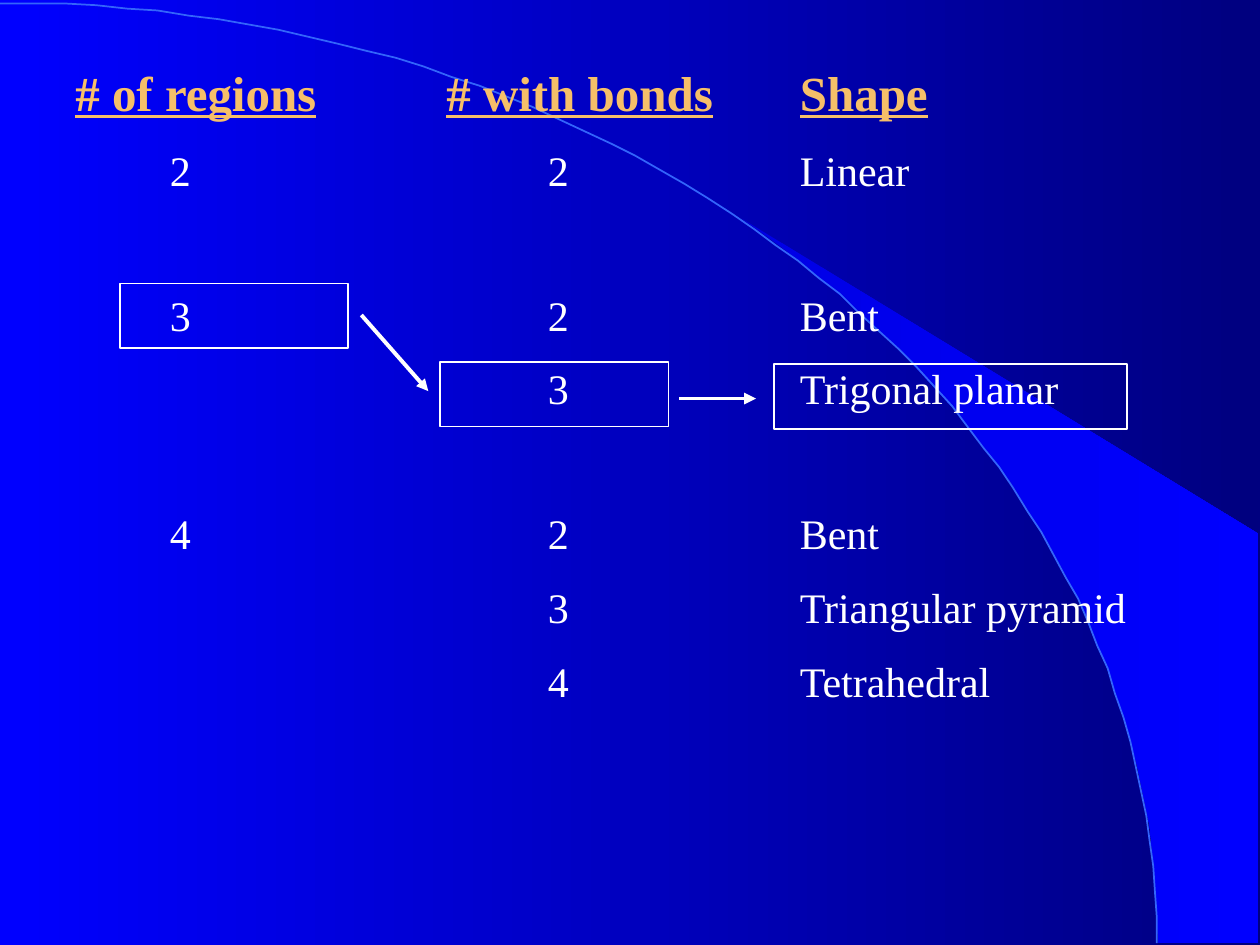
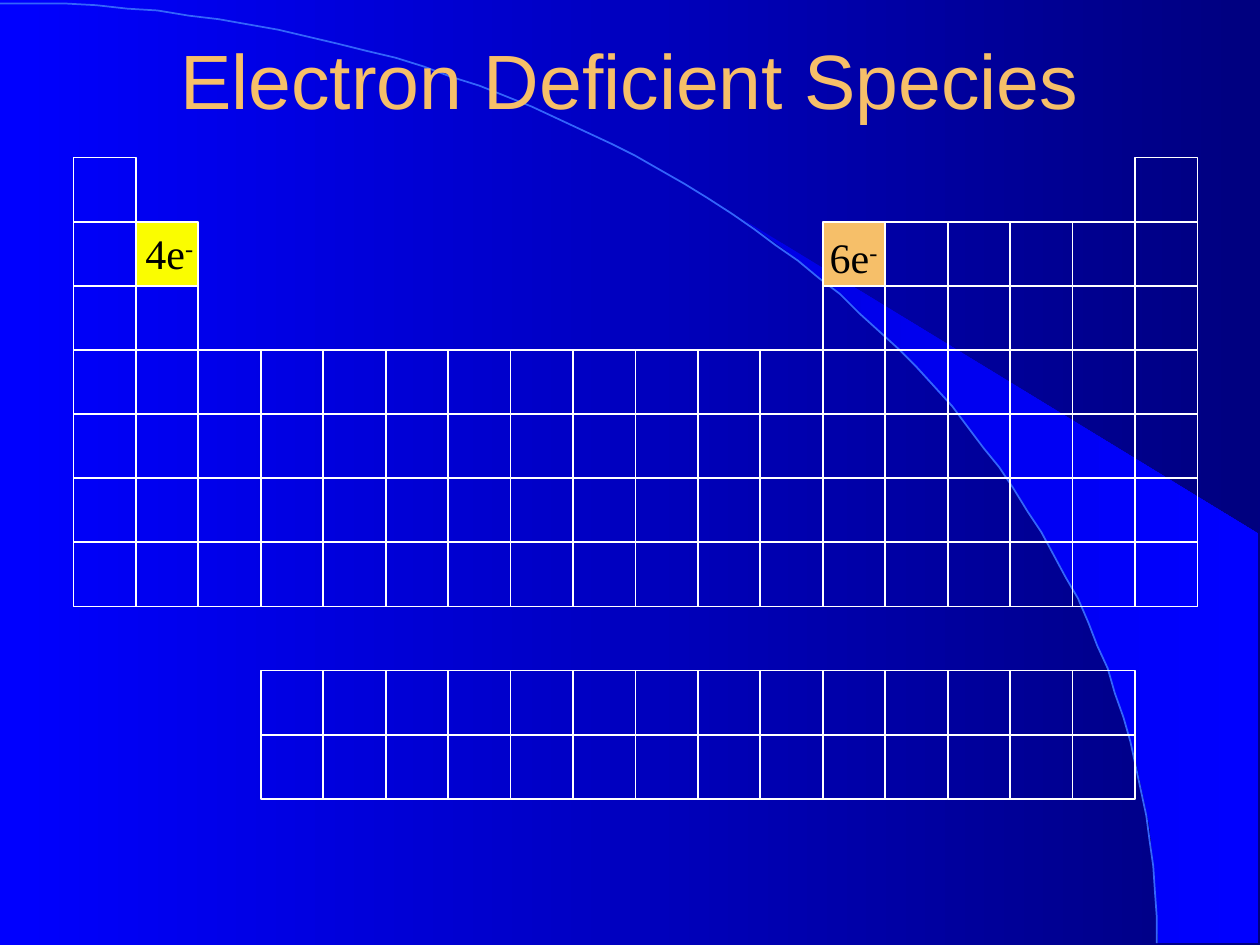
"""Build two slides on molecular shapes and electron deficient species."""
from dataclasses import dataclass
from typing import Any, Optional

import pptx
import pptx.dml.color
import pptx.enum.shapes
import pptx.enum.text
import pptx.oxml.ns
import pptx.util
from lxml import etree

Pt = pptx.util.Pt
RGB = pptx.dml.color.RGBColor.from_string
ALIGN = pptx.enum.text.PP_ALIGN
ANCHOR = pptx.enum.text.MSO_ANCHOR


@dataclass(frozen=True)
class Theme:
    """Colours, fonts and sizes shared by the slides."""
    white: str = "FFFFFF"
    black: str = "000000"
    gold: str = "F6BF69"
    yellow: str = "FAFD00"
    arc: str = "3365FB"
    background: tuple = ("0000FF", "00007F")
    wedge: tuple = ("0000E5", "0000FF")
    serif: str = "Times New Roman"
    sans: str = "Arial"
    title_size: float = 44
    header_size: float = 28
    body_size: float = 24
    thin: float = 1
    thick: float = 2.25


THEME = Theme()
BODY = {"name": THEME.serif, "size": Pt(THEME.body_size), "color": THEME.white}
HEADER = {"name": THEME.serif, "size": Pt(THEME.header_size), "bold": True, "color": THEME.gold}
TITLE = {"name": THEME.sans, "size": Pt(THEME.title_size), "color": THEME.gold}
LABEL = {**BODY, "color": THEME.black}


@dataclass(frozen=True)
class Box:
    """A rectangle in points."""
    left: float
    top: float
    width: float
    height: float

    def lengths(self) -> tuple:
        """Return the four lengths for python-pptx."""
        return Pt(self.left), Pt(self.top), Pt(self.width), Pt(self.height)


@dataclass(frozen=True)
class Arrow:
    """A straight arrow between two points."""
    start: tuple
    end: tuple


@dataclass(frozen=True)
class ShapeRow:
    """One table line: regions, bonded regions and the resulting shape."""
    regions: str
    bonds: str
    shape: str


@dataclass(frozen=True)
class ElectronLabel:
    """A valence electron count over one element cell."""
    text: str
    box: Box


ROWS = (
    ShapeRow("2", "2", "Linear"),
    ShapeRow("3", "2", "Bent"),
    ShapeRow("", "3", "Trigonal planar"),
    ShapeRow("4", "2", "Bent"),
    ShapeRow("", "3", "Triangular pyramid"),
    ShapeRow("", "4", "Tetrahedral"),
)
HEADER_STOPS = (18, 216, 230, 432)
ROW_STOPS = (72, 288, 432)
ROW_GAP, GROUP_GAP = 13.25, 54.1
HIGHLIGHTS = (
    Box(68.5, 162, 130.5, 37), Box(251.5, 206.75, 130.5, 37), Box(442.25, 208, 201.75, 37))
ARROWS = (Arrow((206.5, 180), (244.75, 223.5)), Arrow((388.25, 227.75), (432, 227.75)))

WEDGE = (
    (662.4, 538.6), (719.3, 539.3), (719.3, 304.6), (424, 124.6), (449.3, 143.3),
    (470.2, 159.8), (493.2, 180), (515.5, 201.6), (548.6, 237.6), (578.2, 276.5),
    (599, 310.3), (617.8, 344.9), (632.2, 380.2), (643, 411.8), (650.2, 438.5),
    (657.4, 472.3), (660.2, 501.1))
ARC_CONTROLS = ((0.5, 1.5), (365.8, 1.5), (661, 241.2), (661, 539.3))
ARC_STEPS = 60

GRID = Box(42, 90, 35.68, 36.65)
SIDES = (0, 1, *range(12, 18))
FULL = tuple(range(18))
INNER = tuple(range(3, 17))
PERIODS = {0: (0, 17), 1: SIDES, 2: SIDES, 3: FULL, 4: FULL, 5: FULL, 6: FULL, 8: INNER, 9: INNER}
CELL_FILLS = {(1, 1): THEME.yellow, (1, 12): THEME.gold}
ELECTRON_LABELS = (
    ElectronLabel("4e", Box(70.5, 126.75, 52.5, 36)),
    ElectronLabel("6e", Box(461.5, 129, 52.5, 36)))


def paint_gradient(fill: Any, colors: tuple) -> None:
    """Fill from left to right with two colours."""
    fill.gradient()
    fill.gradient_angle = 0
    for stop, color in zip(fill.gradient_stops, colors):
        stop.color.rgb = RGB(color)


def paint_line(shape: Any, color: str, width: float) -> None:
    """Give a shape or connector a solid line."""
    shape.line.color.rgb = RGB(color)
    shape.line.width = Pt(width)


def add_outline(slide: Any, points: list, close: bool) -> Any:
    """Draw a freeform through the points."""
    builder = slide.shapes.build_freeform(*points[0], scale=Pt(1))
    builder.add_line_segments(points[1:], close=close)
    shape = builder.convert_to_shape()
    shape.shadow.inherit = False
    return shape


def arc_point(t: float) -> tuple:
    """Return the point of the cubic arc at parameter t."""
    weights = ((1 - t) ** 3, 3 * t * (1 - t) ** 2, 3 * t * t * (1 - t), t ** 3)
    return tuple(sum(w * p[axis] for w, p in zip(weights, ARC_CONTROLS)) for axis in (0, 1))


def add_backdrop_slide(presentation: Any) -> Any:
    """Add a blank slide with the wedge and the arc."""
    slide = presentation.slides.add_slide(presentation.slide_layouts[6])
    wedge = add_outline(slide, list(WEDGE), close=True)
    paint_gradient(wedge.fill, THEME.wedge)
    wedge.line.fill.background()
    arc = add_outline(slide, [arc_point(i / ARC_STEPS) for i in range(ARC_STEPS + 1)], close=False)
    arc.fill.background()
    paint_line(arc, THEME.arc, THEME.thin)
    return slide


def add_rectangle(slide: Any, box: Box, fill: Optional[str] = None) -> None:
    """Draw a white-edged rectangle, hollow unless a fill is given."""
    shape = slide.shapes.add_shape(pptx.enum.shapes.MSO_SHAPE.RECTANGLE, *box.lengths())
    shape.shadow.inherit = False
    if fill:
        shape.fill.solid()
        shape.fill.fore_color.rgb = RGB(fill)
    else:
        shape.fill.background()
    paint_line(shape, THEME.white, THEME.thin)


def add_arrow(slide: Any, arrow: Arrow) -> None:
    """Draw a straight connector with a triangular head."""
    connector = slide.shapes.add_connector(
        pptx.enum.shapes.MSO_CONNECTOR.STRAIGHT, *map(Pt, arrow.start + arrow.end))
    paint_line(connector, THEME.white, THEME.thick)
    qn = pptx.oxml.ns.qn
    etree.SubElement(connector.line._get_or_add_ln(), qn("a:tailEnd"), type="triangle")
    etree.SubElement(connector._element.spPr, qn("a:effectLst"))


def add_text_frame(slide: Any, box: Box, anchor: Any = ANCHOR.TOP) -> Any:
    """Add a wrapping text box and return its frame."""
    frame = slide.shapes.add_textbox(*box.lengths()).text_frame
    frame.word_wrap = True
    frame.vertical_anchor = anchor
    return frame


def add_run(paragraph: Any, text: str, style: dict, **extra: Any) -> Any:
    """Add a run and set its font from a dict of values."""
    run = paragraph.add_run()
    run.text = text
    for name, value in {**style, **extra}.items():
        if name == "color":
            run.font.color.rgb = RGB(value)
        else:
            setattr(run.font, name, value)
    return run


def set_tab_stops(paragraph: Any, stops: tuple) -> None:
    """Set left tab stops, in points from the text edge."""
    qn = pptx.oxml.ns.qn
    tabs = etree.SubElement(paragraph._p.get_or_add_pPr(), qn("a:tabLst"))
    for stop in stops:
        etree.SubElement(tabs, qn("a:tab"), pos=str(int(Pt(stop))), algn="l")


def build_shapes_slide(presentation: Any) -> None:
    """Build the list of regions, bonds and shapes."""
    slide = add_backdrop_slide(presentation)
    frame = add_text_frame(slide, Box(18, 32, 668, 386))
    header = frame.paragraphs[0]
    set_tab_stops(header, HEADER_STOPS)
    for gap, heading in (("\t", "# of regions"), ("\t", "\t# with bonds"), ("\t", "Shape")):
        add_run(header, gap, HEADER)
        add_run(header, heading, HEADER, underline=True)
    for index, row in enumerate(ROWS):
        paragraph = frame.add_paragraph()
        paragraph.space_before = Pt(GROUP_GAP if index and row.regions else ROW_GAP)
        set_tab_stops(paragraph, ROW_STOPS)
        add_run(paragraph, f"\t{row.regions}\t{row.bonds}\t{row.shape}", BODY)
    for box in HIGHLIGHTS:
        add_rectangle(slide, box)
    for arrow in ARROWS:
        add_arrow(slide, arrow)


def build_species_slide(presentation: Any) -> None:
    """Build the periodic table with two marked cells."""
    slide = add_backdrop_slide(presentation)
    title = add_text_frame(slide, Box(54, 0, 612, 90), ANCHOR.MIDDLE).paragraphs[0]
    title.alignment = ALIGN.CENTER
    add_run(title, "Electron Deficient Species", TITLE)
    for period, groups in PERIODS.items():
        for group in groups:
            cell = Box(GRID.left + group * GRID.width, GRID.top + period * GRID.height,
                       GRID.width, GRID.height)
            add_rectangle(slide, cell, CELL_FILLS.get((period, group)))
    for label in ELECTRON_LABELS:
        paragraph = add_text_frame(slide, label.box).paragraphs[0]
        paragraph.alignment = ALIGN.CENTER
        add_run(paragraph, label.text, LABEL)
        charge = add_run(paragraph, "-", LABEL)
        charge._r.get_or_add_rPr().set("baseline", "30000")


def main() -> None:
    """Create and save the presentation."""
    presentation = pptx.Presentation()
    presentation.slide_width, presentation.slide_height = Pt(720), Pt(540)
    paint_gradient(presentation.slide_master.background.fill, THEME.background)
    build_shapes_slide(presentation)
    build_species_slide(presentation)
    presentation.save("out.pptx")


if __name__ == "__main__":
    main()
